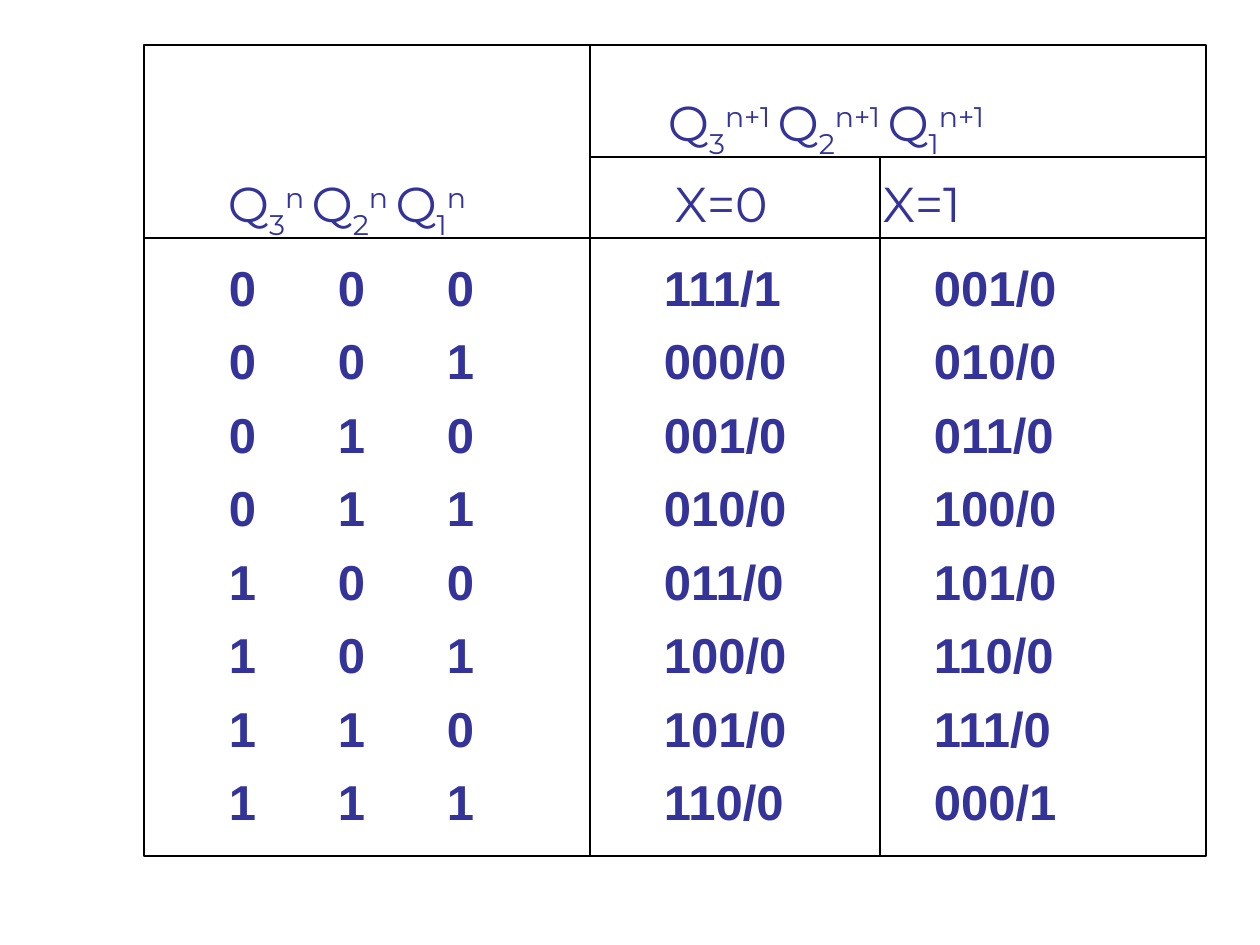
from typing import NamedTuple

from lxml import etree
from pptx import Presentation
from pptx import util as u
from pptx.dml.color import RGBColor
from pptx.enum import shapes, text
from pptx.oxml.ns import qn

SCALE = 914400 / 126
COLORS = {"ink": "333399", "rule": "000000"}
LEFT, MID, SPLIT, RIGHT = 144, 590, 880, 1206
TOP, SUB, HEAD, BOTTOM = 45, 157, 238, 856
STATES = 8


class Box(NamedTuple):
    x: int
    y: int
    w: int
    h: int


class Rule(NamedTuple):
    x1: int
    y1: int
    x2: int
    y2: int


class Label(NamedTuple):
    box: Box
    power: str


RULES = [
    Rule(LEFT, HEAD, RIGHT, HEAD),
    Rule(MID, TOP, MID, BOTTOM),
    Rule(MID, SUB, RIGHT, SUB),
    Rule(SPLIT, SUB, SPLIT, BOTTOM),
]
LABELS = [
    Label(Box(228, 174, 322, 60), "n"),
    Label(Box(668, 93, 360, 60), "n+1"),
]


def px(n: int) -> int:
    return round(n * SCALE)


def color(name: str) -> RGBColor:
    return RGBColor.from_string(COLORS[name])


def add_box(slide, box: Box):
    frame = slide.shapes.add_textbox(*map(px, box)).text_frame
    frame.word_wrap = True
    frame.vertical_anchor = text.MSO_ANCHOR.TOP
    frame.margin_left = frame.margin_right = 0
    frame.margin_top = frame.margin_bottom = 0
    return frame


def style(run, face: str, bold: bool = False) -> None:
    run.font.name = face
    run.font.size = u.Pt(28)
    run.font.bold = bold
    run.font.color.rgb = color("ink")


def set_tabs(para, stops: list[int]) -> None:
    tabs = etree.SubElement(para._p.get_or_add_pPr(), qn("a:tabLst"))
    for stop in stops:
        etree.SubElement(tabs, qn("a:tab"), pos=str(px(stop)), algn="l")


def add_lines(slide, box: Box, lines: list[str], stops: list[int],
              face: str, bold: bool = False) -> None:
    frame = add_box(slide, box)
    frame.text = "\n".join(lines)
    for i, para in enumerate(frame.paragraphs):
        if i:
            para.space_before = u.Pt(8.4)
        set_tabs(para, stops)
        for run in para.runs:
            style(run, face, bold)


def add_label(slide, label: Label) -> None:
    """Write Q3 Q2 Q1, each with its index below and its power above."""
    para = add_box(slide, label.box).paragraphs[0]
    for digit in "321":
        gap = "" if digit == "1" else " "
        for part, shift in (("Q", 0), (digit, -25), (label.power + gap, 30)):
            run = para.add_run()
            run.text = part
            style(run, "Montserrat")
            if shift:
                run._r.get_or_add_rPr().set("baseline", str(shift * 1000))


def add_rule(slide, rule: Rule) -> None:
    line = slide.shapes.add_connector(
        shapes.MSO_CONNECTOR.STRAIGHT, *map(px, rule))
    line.line.color.rgb = color("rule")
    line.line.width = u.Pt(0.75)
    etree.SubElement(line._element.spPr, qn("a:effectLst"))


def add_frame(slide) -> None:
    box = Box(LEFT, TOP, RIGHT - LEFT, BOTTOM - TOP)
    rect = slide.shapes.add_shape(
        shapes.MSO_SHAPE.RECTANGLE, *map(px, box))
    rect.shadow.inherit = False
    rect.fill.background()
    rect.line.color.rgb = color("rule")
    rect.line.width = u.Pt(0.75)


def state_row(now: int) -> str:
    """X=0 counts down with a borrow flag, X=1 counts up with a carry flag."""
    down = f"{(now - 1) % STATES:03b}/{int(now == 0)}"
    up = f"{(now + 1) % STATES:03b}/{int(now == STATES - 1)}"
    return "\t".join([*f"{now:03b}", down, up])


def main() -> None:
    deck = Presentation()
    deck.slide_width, deck.slide_height = u.Inches(10), u.Inches(7.5)
    slide = deck.slides.add_slide(deck.slide_layouts[6])
    rows = [state_row(n) for n in range(STATES)]
    add_lines(slide, Box(229, 257, 960, 560), rows,
              [109, 218, 435, 705], "Arial", True)
    for label in LABELS:
        add_label(slide, label)
    add_lines(slide, Box(675, 174, 500, 60), ["X=0\tX=1"], [208],
              "Montserrat")
    add_frame(slide)
    for rule in RULES:
        add_rule(slide, rule)
    deck.save("out.pptx")


if __name__ == "__main__":
    main()
